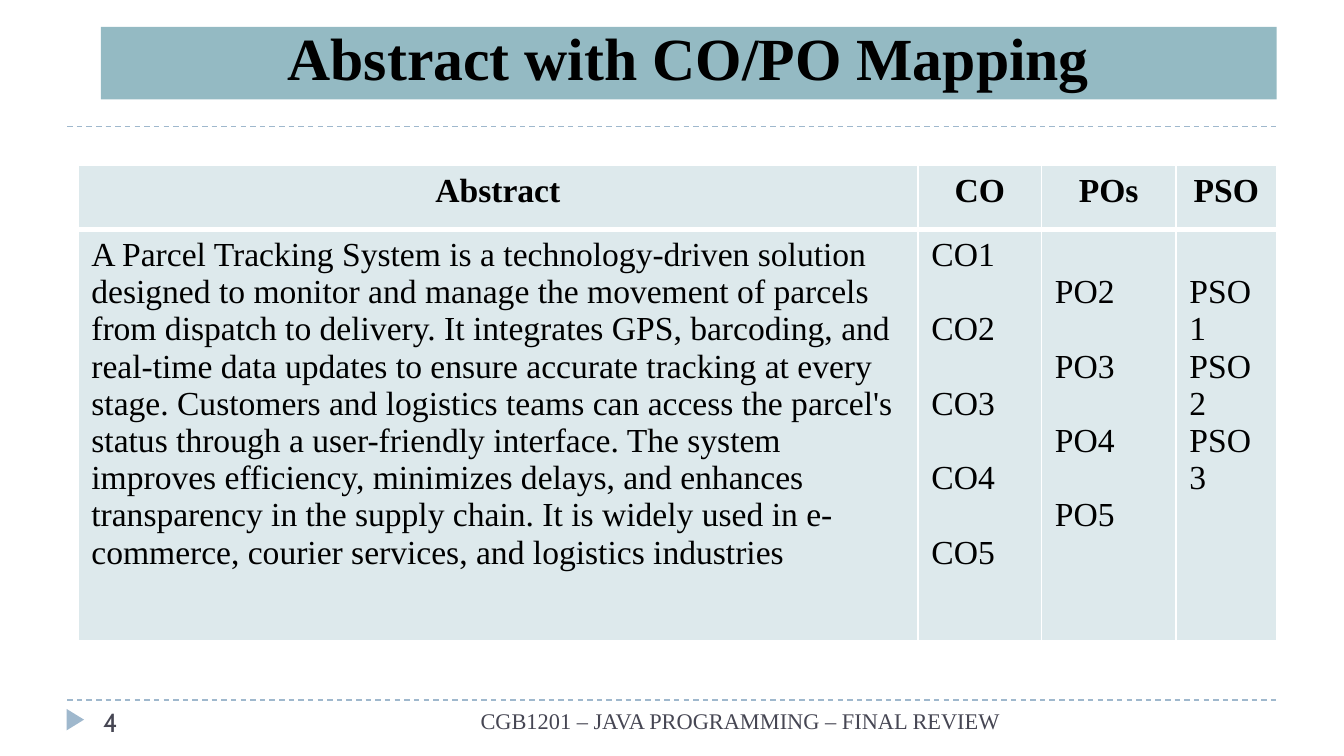
from dataclasses import dataclass

import pptx
import pptx.dml.color
import pptx.enum.dml
import pptx.enum.shapes
import pptx.enum.text
import pptx.oxml
import pptx.oxml.ns
import pptx.util
from lxml import etree

Inches, Pt = pptx.util.Inches, pptx.util.Pt
ALIGN = pptx.enum.text.PP_ALIGN
ANCHOR = pptx.enum.text.MSO_ANCHOR
SHAPE = pptx.enum.shapes.MSO_SHAPE
qn = pptx.oxml.ns.qn

COLORS = {"rule": "9FB8CD", "title": "94BAC3", "cell": "DDE9EC",
          "text": "000000", "muted": "464653", "border": "FFFFFF"}
SERIF = "Times New Roman"
LINE = 19.93  # height of one 18 pt line, in points


@dataclass
class Column:
    heading: str
    width: float
    items: list[str]
    lead: float = 0  # points above the first item
    gap: float = 0   # points between items


@dataclass
class Label:
    text: str
    box: tuple[float, float, float, float]
    size: float
    font: str
    align: ALIGN


COLUMNS = [
    Column("Abstract", 6.25, [
        "A Parcel Tracking System is a technology-driven solution designed to "
        "monitor and manage the movement of parcels from dispatch to delivery. "
        "It integrates GPS, barcoding, and real-time data updates to ensure "
        "accurate tracking at every stage. Customers and logistics teams can "
        "access the parcel's status through a user-friendly interface. The "
        "system improves efficiency, minimizes delays, and enhances "
        "transparency in the supply chain. It is widely used in e-commerce, "
        "courier services, and logistics industries"]),
    Column("CO", 0.92, [f"CO{n}" for n in range(1, 6)], gap=LINE),
    Column("POs", 1, [f"PO{n}" for n in range(2, 6)], lead=LINE, gap=LINE),
    Column("PSO", 0.75, [f"PSO{n}" for n in range(1, 4)], lead=LINE),
]
ROW_HEIGHTS = [0.48, 3.06]
LABELS = [
    Label("CGB1201 – JAVA PROGRAMMING – FINAL REVIEW ",
          (3.08, 5.21, 4.5, 0.41), 12, SERIF, ALIGN.RIGHT),
    Label("4", (0.67, 5.21, 2.17, 0.3), 14, "Cabin", ALIGN.LEFT),
]


def rgb(name: str) -> pptx.dml.color.RGBColor:
    return pptx.dml.color.RGBColor.from_string(COLORS[name])


def fill(obj, color: str) -> None:
    obj.fill.solid()
    obj.fill.fore_color.rgb = rgb(color)


def write(p, text: str, size: float, color: str = "text", font: str = SERIF,
          bold: bool = False, align: ALIGN = ALIGN.LEFT) -> None:
    p.alignment = align
    r = p.add_run()
    r.text = text
    for key, value in {"size": Pt(size), "name": font, "bold": bold}.items():
        setattr(r.font, key, value)
    r.font.color.rgb = rgb(color)


def add_rule(s, y: float) -> None:
    c = s.shapes.add_connector(pptx.enum.shapes.MSO_CONNECTOR.STRAIGHT,
                               Inches(0.5), Inches(y), Inches(9.5), Inches(y))
    c.line.color.rgb = rgb("rule")
    c.line.width = Pt(0.75)
    c.line.dash_style = pptx.enum.dml.MSO_LINE.DASH
    etree.SubElement(c._element.spPr, qn("a:effectLst"))


def add_label(s, label: Label) -> None:
    tf = s.shapes.add_textbox(*map(Inches, label.box)).text_frame
    tf.word_wrap = True
    write(tf.paragraphs[0], label.text, label.size, "muted", label.font,
          align=label.align)


def set_borders(cell, widths: dict[str, float]) -> None:
    tc_pr = cell._tc.get_or_add_tcPr()
    for i, (side, width) in enumerate(widths.items()):
        ln = pptx.oxml.parse_xml(
            f'<a:ln{side} {pptx.oxml.ns.nsdecls("a")} w="{Pt(width)}"><a:solidFill>'
            f'<a:srgbClr val="{COLORS["border"]}"/></a:solidFill></a:ln{side}>')
        tc_pr.insert(i, ln)  # borders come before the fill


def add_mapping_table(s, columns: list[Column]) -> None:
    width = sum(col.width for col in columns)
    table = s.shapes.add_table(len(ROW_HEIGHTS), len(columns), Inches(0.58),
                               Inches(1.23), Inches(width),
                               Inches(sum(ROW_HEIGHTS))).table
    table.first_row = table.horz_banding = False
    for row, height in zip(table.rows, ROW_HEIGHTS):
        row.height = Inches(height)
    for i, col in enumerate(columns):
        table.columns[i].width = Inches(col.width)
        head, body = table.cell(0, i), table.cell(1, i)
        for cell, top, bottom in ((head, 1, 3), (body, 3, 1)):
            fill(cell, "cell")
            set_borders(cell, {"L": 1, "R": 1, "T": top, "B": bottom})
        write(head.text_frame.paragraphs[0], col.heading, 18, bold=True,
              align=ALIGN.CENTER)
        body.margin_top = Inches(0.05) + Pt(col.lead)
        tf = body.text_frame
        for n, item in enumerate(col.items):
            p = tf.add_paragraph() if n else tf.paragraphs[0]
            p.space_before = Pt(col.gap if n else 0)
            write(p, item, 18)


def main() -> None:
    prs = pptx.Presentation()
    # Widescreen, 16:9
    prs.slide_width, prs.slide_height = Inches(10), Inches(10 * 9 / 16)
    s = prs.slides.add_slide(prs.slide_layouts[5])

    # Rules and footer marker
    for y in (5.21, 0.94):
        add_rule(s, y)
    marker = s.shapes.add_shape(SHAPE.ISOSCELES_TRIANGLE, Inches(0.48),
                                Inches(5.29), Inches(0.16), Inches(0.13))
    marker.rotation = 90
    marker.shadow.inherit = False
    marker.line.fill.background()
    fill(marker, "rule")

    # Title band
    title = s.shapes.title
    title.left, title.top = Inches(0.75), Inches(0.2)
    title.width, title.height = Inches(8.75), Inches(0.54)
    fill(title, "title")
    tf = title.text_frame
    tf.vertical_anchor = ANCHOR.BOTTOM
    tf.auto_size = pptx.enum.text.MSO_AUTO_SIZE.NONE
    write(tf.paragraphs[0], "Abstract with CO/PO Mapping", 32, bold=True,
          align=ALIGN.CENTER)

    # Footer and table
    for label in LABELS:
        add_label(s, label)
    add_mapping_table(s, COLUMNS)

    prs.save("out.pptx")


if __name__ == "__main__":
    main()
